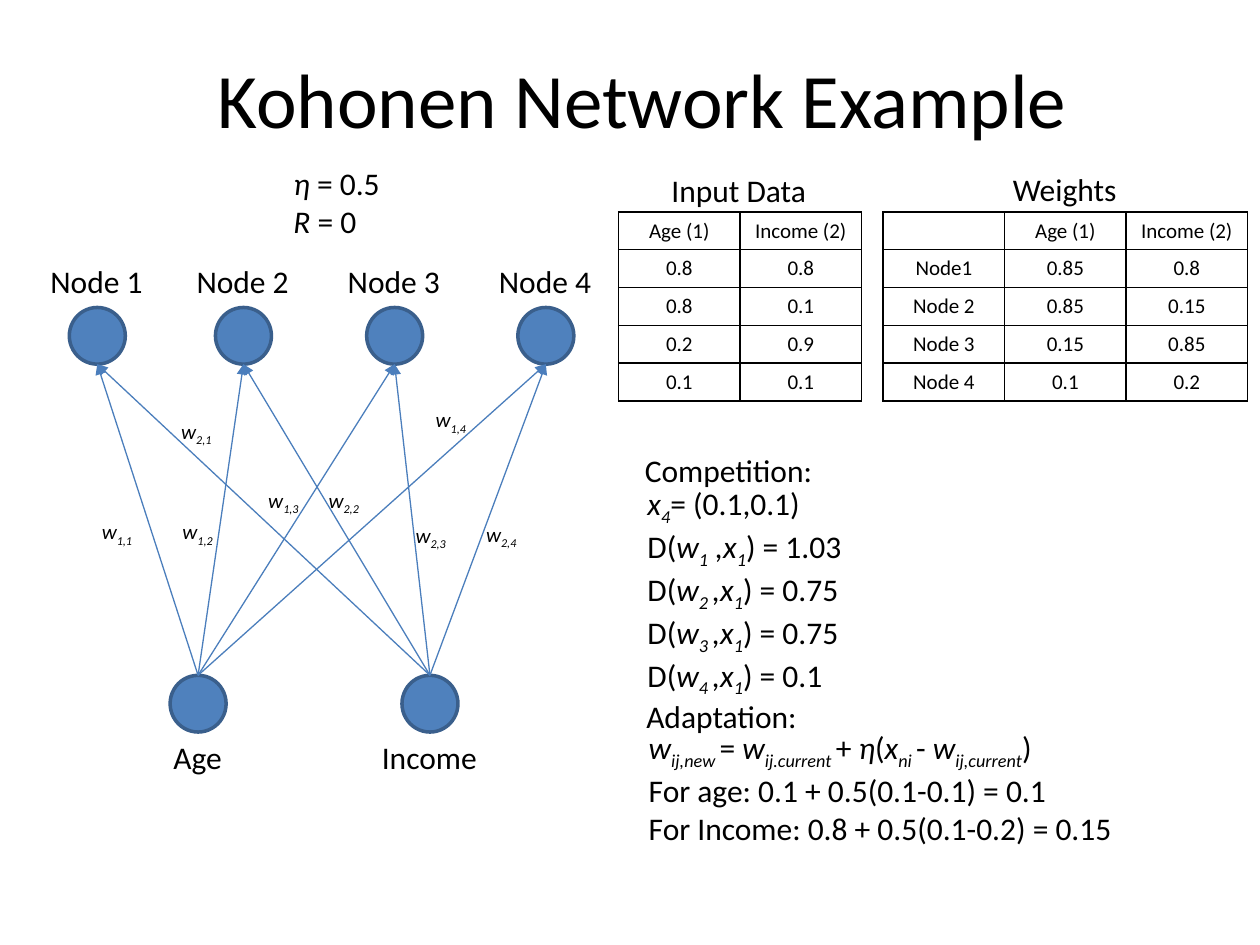
from lxml.etree import SubElement
from pptx import Presentation
from pptx.dml.color import RGBColor
from pptx.enum.shapes import MSO_CONNECTOR, MSO_SHAPE
from pptx.enum.text import MSO_ANCHOR, MSO_AUTO_SIZE, PP_ALIGN
from pptx.oxml.ns import qn
from pptx.util import Pt

BLACK = RGBColor(0x00, 0x00, 0x00)
NODE_FILL = RGBColor(0x4F, 0x81, 0xBD)
NODE_LINE = RGBColor(0x3A, 0x5F, 0x8C)
ARROW = RGBColor(0x4B, 0x7E, 0xBC)
FONT = "Calibri"

# Content. A run is (text, style): "" plain, "i" italic, "s" italic subscript
TITLE = "Kohonen Network Example"

# Network: name, left of circle, label width
INPUTS = [("Age", 97.2, 42.5), ("Income", 229.7, 69.1)]
OUTPUTS = [("Node 1", 39.6, 67.7), ("Node 2", 123.1, 67.7),
           ("Node 3", 209.5, 67.7), ("Node 4", 295.9, 67.7)]
NODE_W, NODE_H = 32, 32.4
INPUT_TOP, OUTPUT_TOP = 385.9, 175.7
INPUT_LABEL_TOP, OUTPUT_LABEL_TOP = 418.3, 146.2
LABEL_H = 29

# Weight labels: subscript, left, top
WEIGHT_LABELS = [
    ("1,1", 51.1, 293), ("1,2", 97.2, 293), ("1,3", 146.2, 275), ("1,4", 241.9, 229),
    ("2,1", 96.5, 235.4), ("2,2", 180.7, 275), ("2,3", 230.4, 295.2), ("2,4", 270.7, 294.5),
]

# Tables: left, rows
COL_W, ROW_H, TABLE_TOP = 69.4, 19.5, 121
TABLES = [
    (504.7, [["", "Age (1)", "Income (2)"],
             ["Node1", "0.85", "0.8"],
             ["Node 2", "0.85", "0.15"],
             ["Node 3", "0.15", "0.85"],
             ["Node 4", "0.1", "0.2"]]),
    (353.5, [["Age (1)", "Income (2)"],
             ["0.8", "0.8"],
             ["0.8", "0.1"],
             ["0.2", "0.9"],
             ["0.1", "0.1"]]),
]

DISTANCES = [("1", " ,x", "1.03"), ("2 ", ",x", "0.75"),
             ("3 ", ",x", "0.75"), ("4 ", ",x", "0.1")]
COMPETITION = [[("x", "i"), ("4", "s"), ("= (0.1,0.1)", "")]] + [
    [("D(", ""), ("w", "i"), (node, "s"), (x, "i"), ("1", "s"), (f") = {distance}", "")]
    for node, x, distance in DISTANCES
]
ADAPTATION = [
    [("w", "i"), ("ij,new ", "s"), ("= ", ""), ("w", "i"), ("ij.current ", "s"),
     ("+ ", ""), ("η", "i"), ("(", ""), ("x", "i"), ("ni ", "s"), ("- ", ""),
     ("w", "i"), ("ij,current", "s"), (")", "")],
    [("For age: 0.1 + 0.5(0.1-0.1) = 0.1", "")],
    [("For Income: 0.8 + 0.5(0.1-0.2) = 0.15", "")],
]
PARAMETERS = [[("η ", "i"), ("= 0.5", "")], [("R", "i"), (" = 0", "")]]

# Text blocks: left, top, width, height, paragraphs
TEXTS = [
    (376.6, 94.3, 92.2, LABEL_H, [[("Input Data", "")]]),
    (571.7, 93.6, 74.2, LABEL_H, [[("Weights", "")]]),
    (160.6, 90, 69.8, 51, PARAMETERS),
    (362.9, 272.9, 128.2, 116.6, COMPETITION),
    (361.4, 254.2, 111.6, LABEL_H, [[("Competition:", "")]]),
    (362.2, 394.6, 101.5, LABEL_H, [[("Adaptation:", "")]]),
    (363.6, 412.6, 282.2, 72.7, ADAPTATION),
]


def style_font(font, size):
    font.name, font.size = FONT, Pt(size)
    font.color.rgb = BLACK


def add_runs(paragraph, runs, size):
    for text, style in runs:
        run = paragraph.add_run()
        run.text = text
        style_font(run.font, size)
        run.font.italic = style != ""
        if style == "s":
            run.font._element.set("baseline", "-25000")


def add_text(slide, left, top, width, height, paragraphs, size=18):
    frame = slide.shapes.add_textbox(Pt(left), Pt(top), Pt(width), Pt(height)).text_frame
    frame.word_wrap = False
    frame.auto_size = MSO_AUTO_SIZE.SHAPE_TO_FIT_TEXT
    for i, runs in enumerate(paragraphs):
        add_runs(frame.add_paragraph() if i else frame.paragraphs[0], runs, size)


def add_node(slide, name, left, label_w, top, label_top):
    node = slide.shapes.add_shape(MSO_SHAPE.OVAL, Pt(left), Pt(top), Pt(NODE_W), Pt(NODE_H))
    node.shadow.inherit = False
    node.fill.solid()
    node.fill.fore_color.rgb = NODE_FILL
    node.line.color.rgb = NODE_LINE
    node.line.width = Pt(2)
    label_left = left + (NODE_W - label_w) / 2
    add_text(slide, label_left, label_top, label_w, LABEL_H, [[(name, "")]])
    return node


def add_arrow(slide, source, target):
    arrow = slide.shapes.add_connector(
        MSO_CONNECTOR.STRAIGHT, source.left + source.width // 2, source.top,
        target.left + target.width // 2, target.top + target.height)
    arrow.begin_connect(source, 0)
    arrow.line.color.rgb = ARROW
    arrow.line.width = Pt(0.75)
    SubElement(arrow.line._get_or_add_ln(), qn("a:tailEnd"), type="triangle")
    SubElement(arrow._element.spPr, qn("a:effectLst"))


def add_borders(cell):
    properties = cell._tc.get_or_add_tcPr()
    for side in ("lnL", "lnR", "lnT", "lnB"):
        border = SubElement(properties, qn(f"a:{side}"), w=str(Pt(1)))
        fill = SubElement(border, qn("a:solidFill"))
        SubElement(fill, qn("a:srgbClr"), val=str(BLACK))


def add_grid(slide, left, rows):
    columns = len(rows[0])
    table = slide.shapes.add_table(
        len(rows), columns, Pt(left), Pt(TABLE_TOP),
        Pt(COL_W * columns), Pt(ROW_H * len(rows))).table
    table.first_row = table.horz_banding = False
    for column in table.columns:
        column.width = Pt(COL_W)
    for r, row in enumerate(rows):
        table.rows[r].height = Pt(ROW_H)
        for c, text in enumerate(row):
            cell = table.cell(r, c)
            add_borders(cell)
            cell.fill.background()
            paragraph = cell.text_frame.paragraphs[0]
            paragraph.alignment = PP_ALIGN.CENTER
            if text:
                add_runs(paragraph, [(text, "")], 12)
            else:
                SubElement(paragraph._p, qn("a:endParaRPr"), sz="1200")


def main():
    deck = Presentation()
    deck.slide_width, deck.slide_height = Pt(720), Pt(540)
    slide = deck.slides.add_slide(deck.slide_layouts[5])

    # Title
    title = slide.shapes.title
    title.left, title.top, title.width, title.height = Pt(43.2), Pt(10.8), Pt(648), Pt(90)
    title.text_frame.vertical_anchor = MSO_ANCHOR.MIDDLE
    heading = title.text_frame.paragraphs[0]
    heading.alignment = PP_ALIGN.CENTER
    add_runs(heading, [(TITLE, "")], 44)

    # Network
    inputs = [add_node(slide, *node, INPUT_TOP, INPUT_LABEL_TOP) for node in INPUTS]
    outputs = [add_node(slide, *node, OUTPUT_TOP, OUTPUT_LABEL_TOP) for node in OUTPUTS]
    for source in inputs:
        for target in outputs:
            add_arrow(slide, source, target)
    for subscript, left, top in WEIGHT_LABELS:
        add_text(slide, left, top, 33.1, 21.6, [[("w", "i"), (subscript, "s")]], 12)

    # Tables and calculations
    for left, rows in TABLES:
        add_grid(slide, left, rows)
    for block in TEXTS:
        add_text(slide, *block)

    deck.save("out.pptx")


if __name__ == "__main__":
    main()
